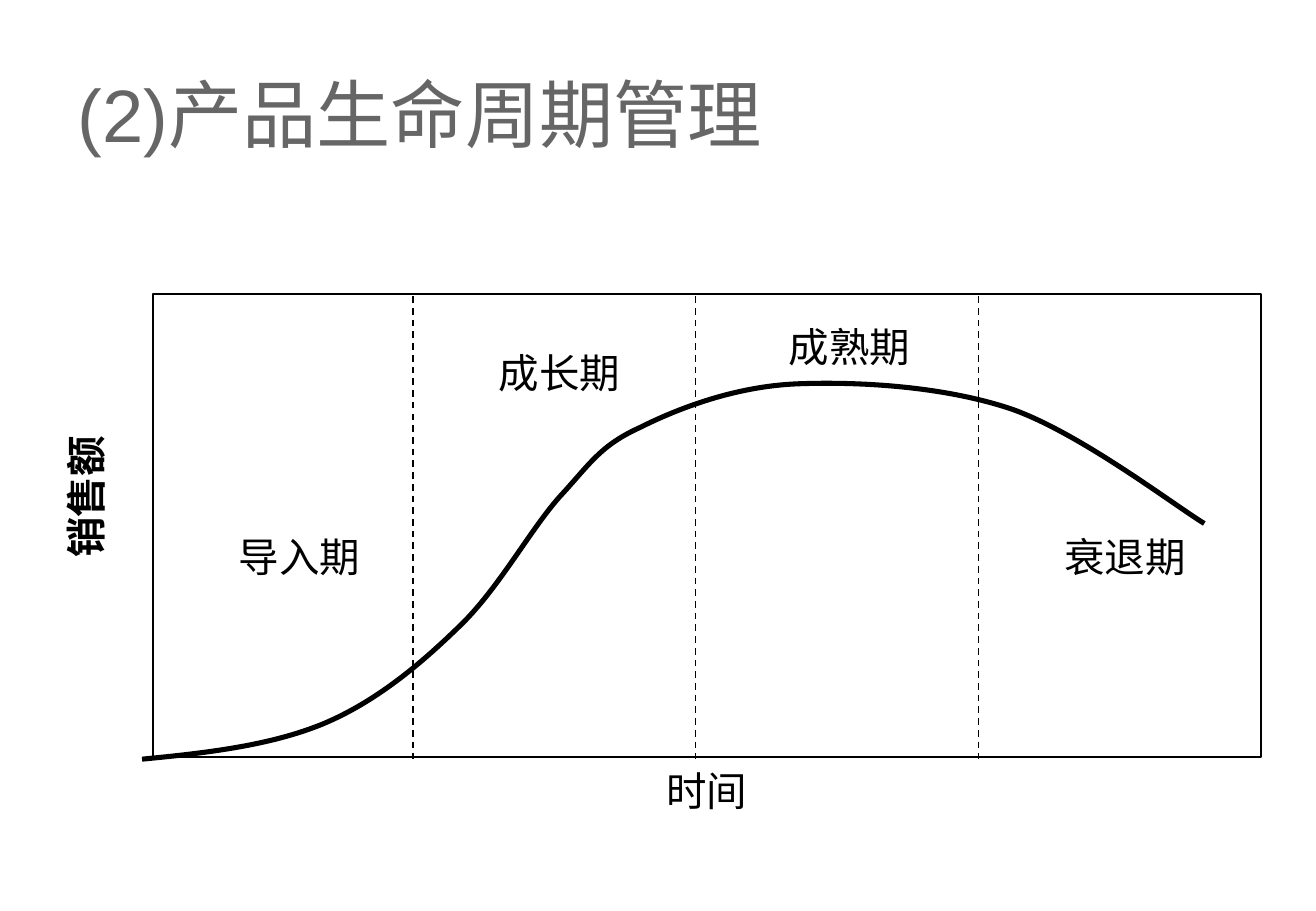
from dataclasses import dataclass

from lxml import etree
from pptx import Presentation
from pptx import util as u
from pptx.dml.color import RGBColor
from pptx.enum import dml, shapes, text
from pptx.oxml.ns import qn
from pptx.shapes.autoshape import Shape
from pptx.slide import Slide


@dataclass(frozen=True)
class Theme:
    ink: RGBColor = RGBColor(0x00, 0x00, 0x00)
    title_ink: RGBColor = RGBColor(0x66, 0x66, 0x66)
    latin_font: str = "Arial"
    chinese_font: str = "Noto Sans CJK SC"
    title_size: float = 44
    label_size: float = 24
    thin: float = 1
    thick: float = 3


@dataclass(frozen=True)
class Label:
    words: str
    left: float
    top: float
    width: float = 1.2
    rotation: float = 0
    bold: bool = False


THEME = Theme()
PLOT_LEFT, PLOT_TOP, PLOT_WIDTH, PLOT_HEIGHT = 1.26, 2.42, 9.13, 3.81
DIVIDER_TOP, DIVIDER_BOTTOM = 2.44, 6.25
FIRST_DIVIDER, STAGE_WIDTH = 3.4, 2.33

LABELS = [
    Label("时间", 5.39, 6.26, width=0.9),
    Label("销售额", 0.1, 3.84, rotation=270, bold=True),
    Label("导入期", 1.87, 4.33),
    Label("成长期", 4.01, 2.82),
    Label("成熟期", 6.4, 2.6),
    Label("衰退期", 8.67, 4.33),
]

# The start, then two control points and an end for each Bézier segment.
SALES_CURVE = [
    (1.17, 6.25),
    (1.69, 6.2), (2.22, 6.14), (2.66, 5.96),
    (3.09, 5.78), (3.45, 5.48), (3.77, 5.17),
    (4.1, 4.86), (4.36, 4.37), (4.61, 4.09),
    (4.86, 3.82), (4.94, 3.67), (5.27, 3.52),
    (5.59, 3.36), (6.06, 3.18), (6.57, 3.16),
    (7.08, 3.14), (7.78, 3.18), (8.34, 3.37),
    (8.9, 3.57), (9.66, 4.15), (9.92, 4.31),
]


def add_words(slide: Slide, label: Label, height: float, size: float,
              color: RGBColor, latin_font: str) -> Shape:
    box = slide.shapes.add_textbox(u.Inches(label.left), u.Inches(label.top),
                                   u.Inches(label.width), u.Inches(height))
    box.rotation = label.rotation
    box.text_frame.text = label.words
    run = box.text_frame.paragraphs[0].runs[0]
    run.font.size = u.Pt(size)
    run.font.bold = label.bold
    run.font.name = latin_font
    run.font.color.rgb = color
    etree.SubElement(run.font._element, qn("a:ea"), typeface=THEME.chinese_font)
    return box


def add_title(slide: Slide) -> None:
    title = add_words(slide, Label("(2)产品生命周期管理", 0.54, 0.3, width=9.75),
                      1.25, THEME.title_size, THEME.title_ink, THEME.latin_font)
    title.text_frame.word_wrap = True
    title.text_frame.vertical_anchor = text.MSO_ANCHOR.MIDDLE


def add_label(slide: Slide, label: Label) -> None:
    box = add_words(slide, label, 0.5, THEME.label_size, THEME.ink,
                    THEME.chinese_font)
    box.text_frame.word_wrap = False
    box.text_frame.auto_size = text.MSO_AUTO_SIZE.SHAPE_TO_FIT_TEXT


def style_outline(shape: Shape, width: float) -> None:
    shape.shadow.inherit = False
    shape.fill.background()
    shape.line.color.rgb = THEME.ink
    shape.line.width = u.Pt(width)


def add_plot_frame(slide: Slide) -> None:
    frame = slide.shapes.add_shape(
        shapes.MSO_SHAPE.RECTANGLE, u.Inches(PLOT_LEFT), u.Inches(PLOT_TOP),
        u.Inches(PLOT_WIDTH), u.Inches(PLOT_HEIGHT))
    style_outline(frame, THEME.thin)


def add_sales_curve(slide: Slide) -> None:
    """Build a polyline, then group its points by three into Bézier segments."""
    start, *points = [(u.Inches(x), u.Inches(y)) for x, y in SALES_CURVE]
    builder = slide.shapes.build_freeform(*start)
    builder.add_line_segments(points, close=False)
    curve = builder.convert_to_shape()
    style_outline(curve, THEME.thick)

    steps = list(curve._element.iter(qn("a:lnTo")))
    for first in range(0, len(steps), 3):
        segment = etree.SubElement(steps[first].getparent(), qn("a:cubicBezTo"))
        for step in steps[first:first + 3]:
            segment.append(step[0])
            step.getparent().remove(step)


def add_divider(slide: Slide, x: float) -> None:
    divider = slide.shapes.add_connector(
        shapes.MSO_CONNECTOR.STRAIGHT, u.Inches(x), u.Inches(DIVIDER_TOP),
        u.Inches(x), u.Inches(DIVIDER_BOTTOM))
    divider.line.color.rgb = THEME.ink
    divider.line.width = u.Pt(THEME.thin)
    divider.line.dash_style = dml.MSO_LINE.DASH
    etree.SubElement(divider._element.spPr, qn("a:effectLst"))


def main() -> None:
    deck = Presentation()
    deck.slide_width, deck.slide_height = u.Inches(10.84), u.Inches(7.5)
    slide = deck.slides.add_slide(deck.slide_layouts[6])

    add_title(slide)
    add_plot_frame(slide)
    add_sales_curve(slide)
    for stage in range(3):
        add_divider(slide, FIRST_DIVIDER + stage * STAGE_WIDTH)
    for label in LABELS:
        add_label(slide, label)

    deck.save("out.pptx")


if __name__ == "__main__":
    main()
